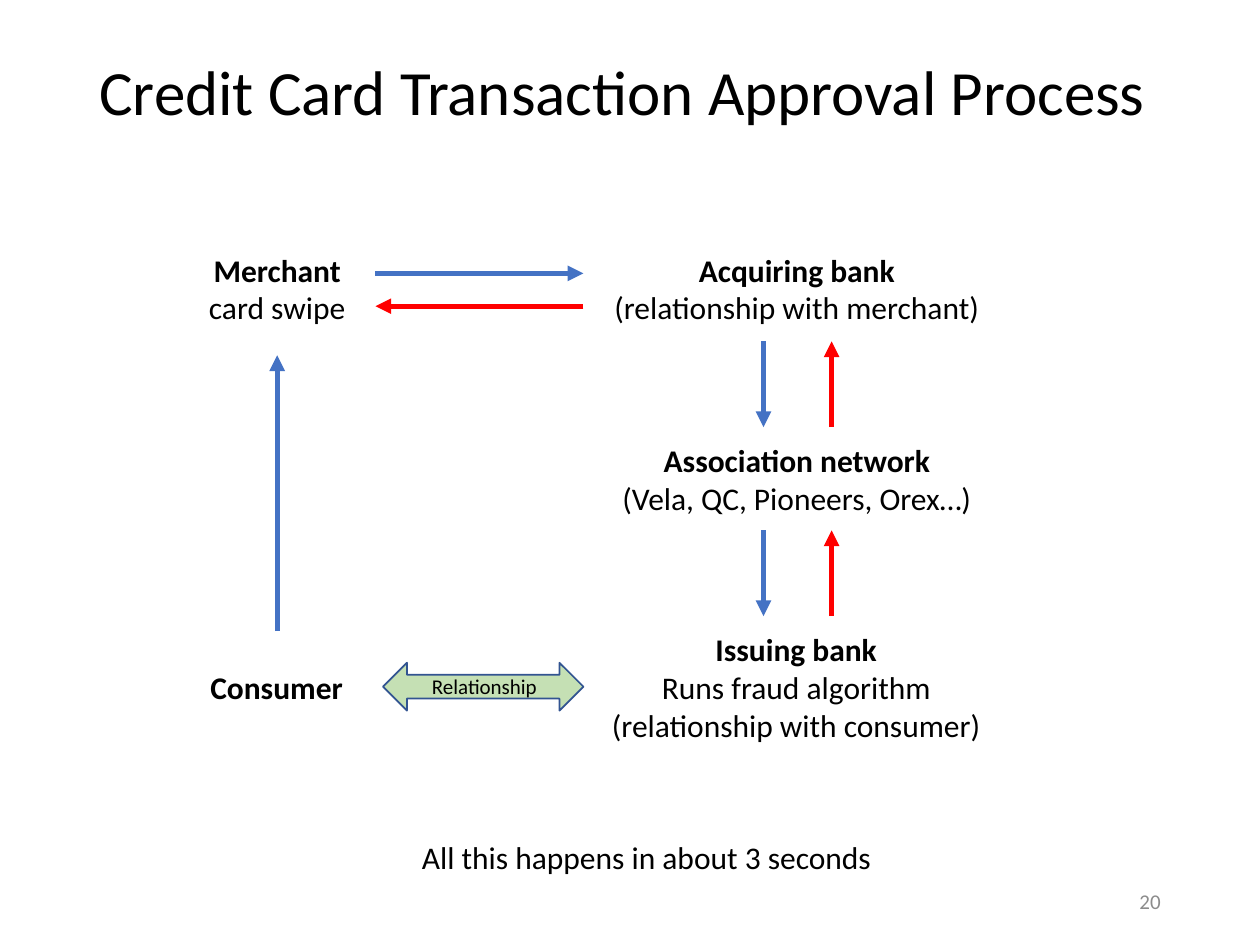
from lxml import etree
from pptx import Presentation
from pptx.dml.color import RGBColor
from pptx.enum import shapes, text
from pptx.oxml import ns
from pptx.util import Inches, Pt

BLACK = RGBColor(0x00, 0x00, 0x00)
GRAY = RGBColor(0x8C, 0x8C, 0x8C)
BLUE = RGBColor(0x44, 0x72, 0xC4)
RED = RGBColor(0xFF, 0x00, 0x00)
LIGHT_GREEN = RGBColor(0xC5, 0xE0, 0xB4)
DARK_BLUE = RGBColor(0x32, 0x54, 0x91)
LEFT, CENTER, RIGHT = text.PP_ALIGN.LEFT, text.PP_ALIGN.CENTER, text.PP_ALIGN.RIGHT
TOP, MIDDLE = text.MSO_ANCHOR.TOP, text.MSO_ANCHOR.MIDDLE

presentation = Presentation()
presentation.slide_width, presentation.slide_height = Inches(10), Inches(7.5)
slide = presentation.slides.add_slide(presentation.slide_layouts[6])


def add_text(box, lines, size=18, bold_first=False, align=LEFT, anchor=TOP,
             wrap=False, color=BLACK, spacing=None):
    frame = slide.shapes.add_textbox(*(Inches(value) for value in box)).text_frame
    frame.word_wrap = wrap
    frame.vertical_anchor = anchor
    for index, line in enumerate(lines):
        paragraph = frame.add_paragraph() if index else frame.paragraphs[0]
        paragraph.alignment = align
        if spacing:
            paragraph.line_spacing = spacing
        run = paragraph.add_run()
        run.text = line
        run.font.name = "Calibri"
        run.font.size = Pt(size)
        run.font.bold = bold_first and index == 0
        run.font.color.rgb = color


def add_arrow(x1, y1, x2, y2, color):
    arrow = slide.shapes.add_connector(
        shapes.MSO_CONNECTOR.STRAIGHT, Inches(x1), Inches(y1), Inches(x2), Inches(y2))
    arrow.line.color.rgb = color
    arrow.line.width = Pt(3)
    etree.SubElement(arrow.line._get_or_add_ln(), ns.qn("a:tailEnd"), type="triangle")
    etree.SubElement(arrow._element.spPr, ns.qn("a:effectLst"))


# Title and slide number
add_text((0.69, 0.03, 8.62, 1.45), ["Credit Card Transaction Approval Process"],
         size=36, anchor=MIDDLE, wrap=True, spacing=0.9)
add_text((7.06, 6.95, 2.25, 0.4), ["20"], size=12, align=RIGHT, anchor=MIDDLE,
         wrap=True, color=GRAY)

# Parties: bold name above plain details
parties = [
    ((1.57, 5.25, 1.25, 0.4), ["Consumer"]),
    ((4.74, 4.95, 3.16, 1.01),
     ["Issuing bank", "Runs fraud algorithm", "(relationship with consumer)"]),
    ((4.78, 3.45, 3.09, 0.71), ["Association network", "(Vela, QC, Pioneers, Orex…)"]),
    ((4.76, 1.94, 3.13, 0.71), ["Acquiring bank", "(relationship with merchant)"]),
    ((1.55, 1.94, 1.3, 0.71), ["Merchant", "card swipe"]),
]
for box, lines in parties:
    add_text(box, lines, bold_first=True, align=CENTER)

# Consumer to merchant, then merchant to acquiring bank and back
add_arrow(2.2, 5.01, 2.2, 2.82, BLUE)
add_arrow(2.98, 2.17, 4.63, 2.17, BLUE)
add_arrow(4.63, 2.43, 2.98, 2.43, RED)

# Requests down and approvals up between the banks and the network
for top in (2.71, 4.21):
    add_arrow(6.06, top, 6.06, top + 0.68, BLUE)
    add_arrow(6.6, top + 0.68, 6.6, top, RED)

# Relationship between consumer and issuing bank
relationship = slide.shapes.add_shape(
    shapes.MSO_SHAPE.LEFT_RIGHT_ARROW, Inches(3.04), Inches(5.26), Inches(1.59), Inches(0.38))
relationship.shadow.inherit = False
relationship.fill.solid()
relationship.fill.fore_color.rgb = LIGHT_GREEN
relationship.line.color.rgb = DARK_BLUE
relationship.line.width = Pt(1)
add_text((3.33, 5.3, 1.04, 0.3), ["Relationship"], size=12)

# Closing remark
add_text((3.25, 6.6, 3.81, 0.4), ["All this happens in about 3 seconds"])

presentation.save("out.pptx")
